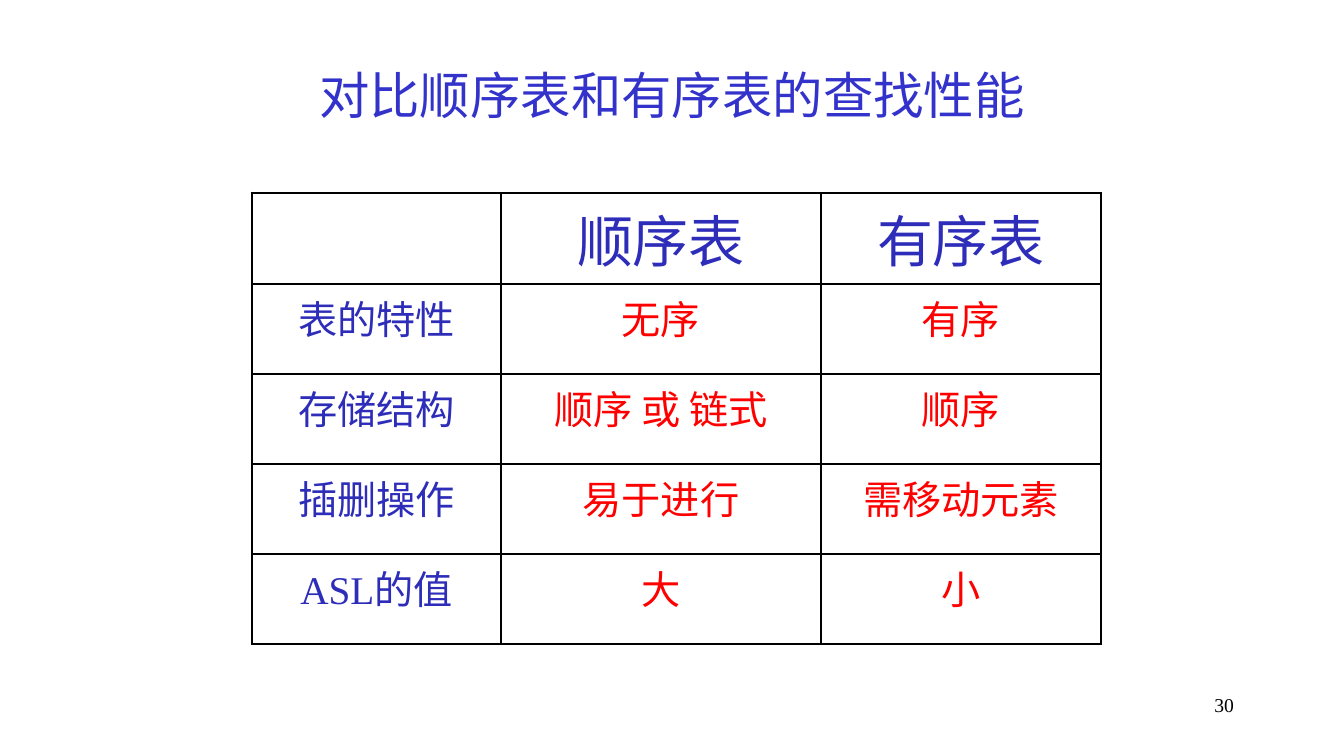
import dataclasses

import pptx
import pptx.dml.color
import pptx.enum.text
import pptx.oxml
import pptx.oxml.ns
import pptx.util

ALIGN = pptx.enum.text.PP_ALIGN
ANCHOR = pptx.enum.text.MSO_ANCHOR


@dataclasses.dataclass(frozen=True)
class Theme:
    font: str = "Times New Roman"
    title_color: str = "3333CC"
    label_color: str = "2D2DB9"
    value_color: str = "FF0000"
    ink: str = "000000"
    title_size: int = 36
    header_size: int = 40
    cell_size: int = 28
    number_size: int = 14
    outer_line: float = 2.25
    inner_line: float = 1


def px(length):
    return pptx.util.Emu(round(length * 914400 / 100.8))


def write(frame, text, *, font, size, color, align=ALIGN.CENTER, before=0):
    paragraph = frame.paragraphs[0]
    paragraph.alignment = align
    paragraph.space_before = pptx.util.Pt(before)
    run = paragraph.add_run()
    run.text = text
    run.font.name = font
    run.font.size = pptx.util.Pt(size)
    run.font.color.rgb = pptx.dml.color.RGBColor.from_string(color)


class ComparisonSlide:
    """Builds the parts of one slide in a shared theme."""

    def __init__(self, deck, theme):
        self.theme = theme
        self.slide = deck.slides.add_slide(deck.slide_layouts[5])

    def title(self, text, left, top, width, height):
        heading = self.slide.shapes.title
        heading.left, heading.top = px(left), px(top)
        heading.width, heading.height = px(width), px(height)
        frame = heading.text_frame
        frame.word_wrap = True
        frame.auto_size = pptx.enum.text.MSO_AUTO_SIZE.NONE
        frame.vertical_anchor = ANCHOR.MIDDLE
        write(frame, text, font=self.theme.font, size=self.theme.title_size,
              color=self.theme.title_color)

    def page_number(self, text, left, top, width, height):
        number = self.slide.shapes.add_textbox(px(left), px(top), px(width), px(height))
        number.text_frame.word_wrap = True
        write(number.text_frame, text, font=self.theme.font, size=self.theme.number_size,
              color=self.theme.ink, align=ALIGN.RIGHT)

    def borders(self, cell, outer_sides):
        properties = cell._tc.get_or_add_tcPr()
        for side, is_outer in outer_sides.items():
            points = self.theme.outer_line if is_outer else self.theme.inner_line
            properties.append(pptx.oxml.parse_xml(
                f'<a:ln{side} {pptx.oxml.ns.nsdecls("a")} w="{pptx.util.Pt(points)}">'
                f'<a:solidFill><a:srgbClr val="{self.theme.ink}"/></a:solidFill>'
                f'</a:ln{side}>'))

    def table(self, rows, left, top, column_widths, row_height):
        last_row, last_column = len(rows) - 1, len(column_widths) - 1
        grid = self.slide.shapes.add_table(
            len(rows), len(column_widths), px(left), px(top),
            px(sum(column_widths)), px(row_height * len(rows))).table
        grid.first_row = grid.horz_banding = False
        for column, width in zip(grid.columns, column_widths):
            column.width = px(width)
        for r, entries in enumerate(rows):
            grid.rows[r].height = px(row_height)
            size = self.theme.cell_size if r else self.theme.header_size
            for c, entry in enumerate(entries):
                cell = grid.cell(r, c)
                self.borders(cell, {"L": c == 0, "R": c == last_column,
                                    "T": r == 0, "B": r == last_row})
                cell.fill.background()
                if entry:
                    color = self.theme.value_color if r and c else self.theme.label_color
                    write(cell.text_frame, entry, font=self.theme.font, size=size,
                          color=color, before=size * 0.2)


def main():
    deck = pptx.Presentation()
    deck.slide_width, deck.slide_height = px(1344), px(756)
    comparison = ComparisonSlide(deck, Theme())
    comparison.table(
        [["", "顺序表", "有序表"],
         ["表的特性", "无序", "有序"],
         ["存储结构", "顺序 或 链式", "顺序"],
         ["插删操作", "易于进行", "需移动元素"],
         ["ASL的值", "大", "小"]],
        left=252, top=193, column_widths=[249, 320, 280], row_height=90)
    comparison.title("对比顺序表和有序表的查找性能", 252, 58, 840, 72)
    comparison.page_number("30", 964, 688, 280, 50)
    deck.save("out.pptx")


if __name__ == "__main__":
    main()
